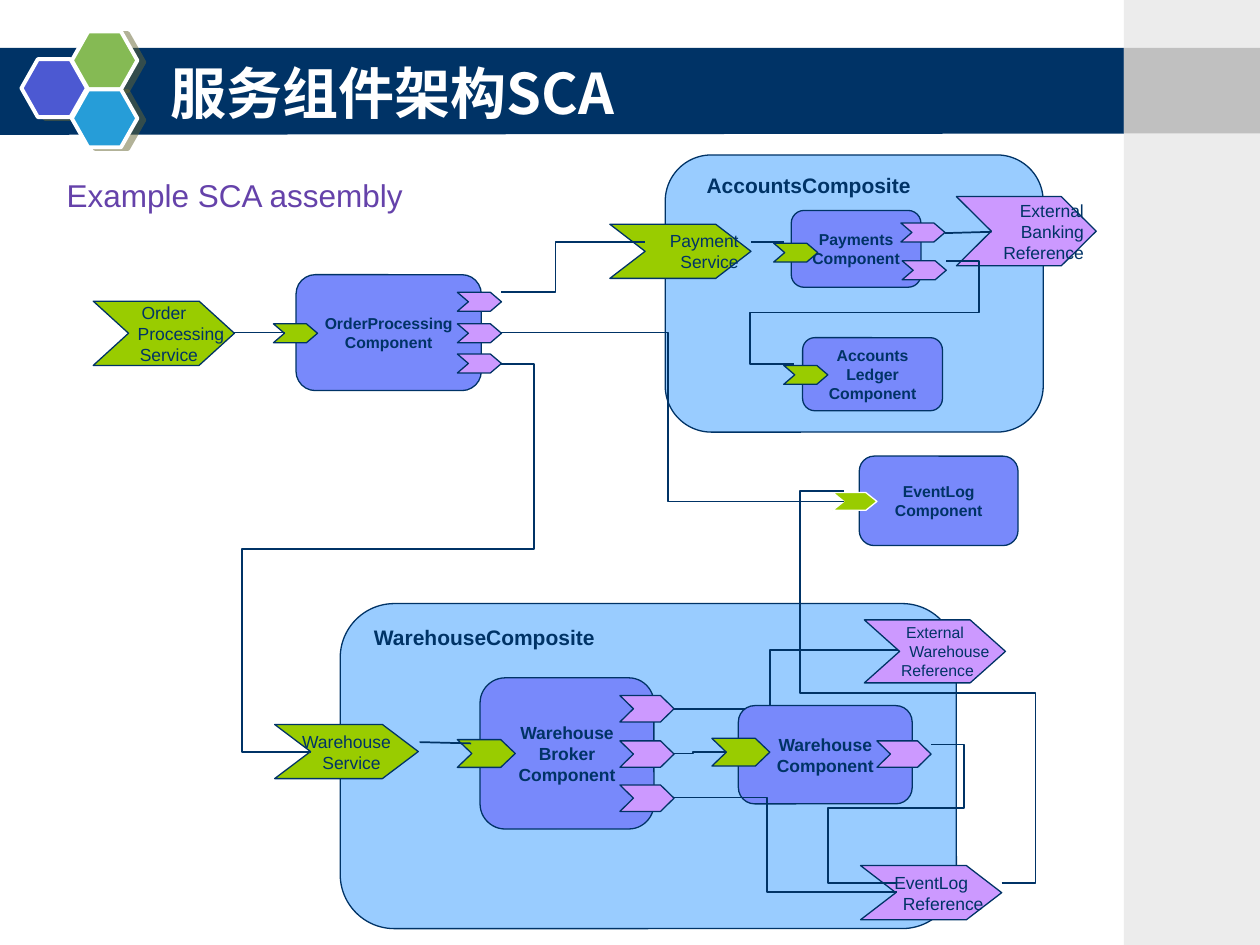
import pptx
import pptx.util
import pptx.dml.color
import pptx.enum.shapes
import pptx.enum.text
import pptx.oxml
import pptx.oxml.ns
from pptx.util import Inches

COLORS = {
    "navy": "003366", "white": "FFFFFF", "composite": "99CCFF", "component": "7889FB",
    "service": "99CC00", "reference": "CC99FF", "heading": "6542AA", "shadow": "666633",
    "panel": "ECECEC", "panel_band": "C0C0C0",
    "indigo": "4C59D2", "green": "85BA54", "blue": "269DD8",
}
SHAPES = pptx.enum.shapes.MSO_SHAPE
ALIGN = pptx.enum.text.PP_ALIGN
MIDDLE = pptx.enum.text.MSO_ANCHOR.MIDDLE
CONNECTORS = pptx.enum.shapes.MSO_CONNECTOR
NS = pptx.oxml.ns.nsdecls("a")


def rgb(name):
    return pptx.dml.color.RGBColor.from_string(COLORS[name])


def paint(shape, fill, line=None, width=0.75):
    shape.shadow.inherit = False
    shape.fill.solid()
    shape.fill.fore_color.rgb = rgb(fill)
    if line:
        shape.line.color.rgb = rgb(line)
        shape.line.width = pptx.util.Pt(width)
    else:
        shape.line.fill.background()


def write(shape, lines, size, bold=False, color="navy", align=ALIGN.CENTER, indents=(), side=0.1):
    frame = shape.text_frame
    frame.word_wrap = False
    frame.vertical_anchor = MIDDLE
    frame.margin_left = frame.margin_right = Inches(side)
    frame.margin_top = frame.margin_bottom = Inches(0.05)
    for index, line in enumerate(lines):
        paragraph = frame.add_paragraph() if index else frame.paragraphs[0]
        paragraph.alignment = align
        if index < len(indents) and indents[index]:
            properties = paragraph._p.get_or_add_pPr()
            properties.set("marL", str(Inches(indents[index])))
            properties.set("indent", "0")
        run = paragraph.add_run()
        run.text = line
        run.font.name = "Arial"
        run.font.size = pptx.util.Pt(size)
        run.font.bold = bold
        run.font.color.rgb = rgb(color)


def add_block(slide, kind, box, fill, line=None, width=0.75):
    block = slide.shapes.add_shape(kind, *map(Inches, box))
    paint(block, fill, line, width)
    return block


def add_outline(slide, points, fill, line=None):
    corners = [(Inches(x), Inches(y)) for x, y in points]
    builder = slide.shapes.build_freeform(*corners[0], scale=1.0)
    builder.add_line_segments(corners[1:], close=True)
    outline = builder.convert_to_shape()
    paint(outline, fill, line)
    return outline


def add_chevron(slide, left, top, width, height, fill, line="navy"):
    notch, right, middle, bottom = width / 4, left + width, top + height / 2, top + height
    points = [(left, top), (right - notch, top), (right, middle),
              (right - notch, bottom), (left, bottom), (left + notch, middle)]
    return add_outline(slide, points, fill, line)


def add_hexagon(slide, left, top, fill):
    hexagon = add_block(slide, SHAPES.HEXAGON, (left, top, 0.52, 0.46), fill, "white", 2.25)
    hexagon.adjustments[0] = 0.283
    effects = hexagon._element.spPr.find(pptx.oxml.ns.qn("a:effectLst"))
    effects.append(pptx.oxml.parse_xml(
        f'<a:outerShdw {NS} dist="52070" dir="840000" algn="ctr" rotWithShape="0">'
        f'<a:srgbClr val="{COLORS["shadow"]}"><a:alpha val="50000"/></a:srgbClr></a:outerShdw>'))


def add_label(slide, box, text, size, bold, color):
    label = slide.shapes.add_textbox(*map(Inches, box))
    write(label, [text], size, bold, color, ALIGN.LEFT)
    label.text_frame.vertical_anchor = pptx.enum.text.MSO_ANCHOR.TOP


def add_wire(slide, start, end, bends=()):
    kind = CONNECTORS.ELBOW if bends else CONNECTORS.STRAIGHT
    wire = slide.shapes.add_connector(kind, *map(Inches, (*start, *end)))
    wire.line.color.rgb = rgb("navy")
    wire.line.width = pptx.util.Pt(1)
    properties = wire._element.spPr
    properties.append(pptx.oxml.parse_xml(f"<a:effectLst {NS}/>"))
    if bends:
        geometry = properties.find(pptx.oxml.ns.qn("a:prstGeom"))
        geometry.set("prst", f"bentConnector{len(bends) + 2}")
        guides = geometry.get_or_add_avLst()
        for index, bend in enumerate(bends):
            axis = index % 2
            ratio = (bend - start[axis]) / (end[axis] - start[axis])
            guides.append(pptx.oxml.parse_xml(
                f'<a:gd {NS} name="adj{index + 1}" fmla="val {round(ratio * 100000)}"/>'))


def add_title(slide, text):
    title = slide.shapes.title
    title.left, title.top, title.width, title.height = map(Inches, (1.25, 0.42, 7.42, 0.62))
    title.text_frame.vertical_anchor = MIDDLE
    paragraph = title.text_frame.paragraphs[0]
    paragraph.alignment = ALIGN.LEFT
    run = paragraph.add_run()
    run.text = text
    run.font.size = pptx.util.Pt(32)
    run.font.bold = True
    run.font.color.rgb = rgb("white")
    run.font.name = "Noto Sans CJK SC"
    run.font._element.find(pptx.oxml.ns.qn("a:latin")).addnext(
        pptx.oxml.parse_xml(f'<a:ea {NS} typeface="Noto Sans CJK SC"/>'))


def add_frame(slide):
    add_outline(slide, [(-0.01, 0.38), (8.94, 0.38), (8.93, 1.06), (-0.01, 1.07)], "navy")
    for left, top, fill in [(0.17, 0.47, "indigo"), (0.57, 0.25, "green"), (0.57, 0.71, "blue")]:
        add_hexagon(slide, left, top, fill)
    add_block(slide, SHAPES.RECTANGLE, (8.92, 0, 1.08, 7.5), "panel")
    add_block(slide, SHAPES.RECTANGLE, (8.92, 0.38, 1.08, 0.68), "panel_band")


def main():
    deck = pptx.Presentation()
    deck.slide_width, deck.slide_height = Inches(10), Inches(7.5)
    slide = deck.slides.add_slide(deck.slide_layouts[5])
    add_frame(slide)
    title = slide.shapes.title._element
    title.getparent().append(title)
    add_title(slide, "服务组件架构SCA")

    for box in [(2.7, 4.79, 4.89, 2.58), (5.28, 1.23, 3, 2.2)]:
        add_block(slide, SHAPES.ROUNDED_RECTANGLE, box, "composite", "navy")
    add_wire(slide, (5.35, 5.63), (7.14, 5.16), (6.11,))

    components = [
        ((3.81, 5.38, 1.38, 1.2), ["Warehouse", "Broker", "Component"], 10),
        ((5.86, 5.6, 1.38, 0.78), ["Warehouse", "Component"], 10),
        ((6.82, 3.62, 1.26, 0.71), ["EventLog", "Component"], 9),
        ((2.35, 2.18, 1.47, 0.92), ["OrderProcessing", "Component"], 9),
        ((6.28, 1.67, 1.03, 0.61), ["Payments", "Component"], 9),
        ((6.37, 2.68, 1.11, 0.58), ["Accounts", "Ledger", "Component"], 9),
    ]
    for box, lines, size in components:
        component = add_block(slide, SHAPES.ROUNDED_RECTANGLE, box, "component", "navy")
        write(component, lines, size, bold=True)

    endpoints = [
        ((2.18, 5.75, 1.14, 0.43), "service", ["Warehouse", "Service"], 10,
         ALIGN.CENTER, (0, 0.08), 0.02),
        ((0.74, 2.39, 1.12, 0.51), "service", ["Order", "Processing", "Service"], 10,
         ALIGN.CENTER, (0, 0.27, 0.08), 0.1),
        ((4.84, 1.78, 1.12, 0.43), "service", ["Payment", "Service"], 10, ALIGN.RIGHT, (), 0.1),
        ((6.83, 6.87, 1.12, 0.43), "reference", ["EventLog", "Reference"], 10,
         ALIGN.CENTER, (0, 0.19), 0.1),
        ((6.86, 4.92, 1.12, 0.5), "reference", ["External", "Warehouse", "Reference"], 9,
         ALIGN.CENTER, (0, 0.23, 0.04), 0.1),
        ((7.59, 1.56, 1.11, 0.55), "reference", ["External", "Banking", "Reference"], 10,
         ALIGN.RIGHT, (), 0.1),
    ]
    for box, role, lines, size, align, indents, side in endpoints:
        endpoint = add_chevron(slide, *box, role)
        write(endpoint, lines, size, align=align, indents=indents, side=side)

    ports = [
        ("service", 0.46, 0.22, [(3.63, 5.87), (5.65, 5.86)]),
        ("service", 0.35, 0.15, [(2.17, 2.57), (6.14, 1.93), (6.22, 2.9)]),
        ("reference", 0.35, 0.15, [(3.63, 2.32), (3.63, 2.57), (3.63, 2.81), (7.15, 1.77), (7.16, 2.07)]),
        ("reference", 0.43, 0.21, [(4.92, 5.52), (4.92, 5.88), (4.92, 6.23), (6.96, 5.88)]),
    ]
    for role, width, height, corners in ports:
        for left, top in corners:
            add_chevron(slide, left, top, width, height, role)
    add_chevron(slide, 6.61, 3.91, 0.35, 0.14, "service", "white")

    wires = [
        ((5.35, 5.98), (5.76, 5.97), (5.5,)),
        ((5.35, 6.33), (7.12, 7.08), (6.09,)),
        ((3.33, 5.89), (3.74, 5.9)),
        ((1.86, 2.64), (2.26, 2.64)),
        ((3.98, 2.89), (2.47, 5.97), (4.24, 4.36, 1.92)),
        ((3.98, 2.64), (6.7, 3.98), (5.3,)),
        ((7.95, 7.01), (6.7, 3.9), (8.22, 5.5, 6.35)),
        ((7.39, 5.91), (7.11, 7.01), (7.65, 6.41, 6.57)),
        ((5.96, 1.92), (6.22, 1.92)),
        ((7.5, 1.85), (7.87, 1.84)),
        ((3.98, 2.32), (5.12, 1.92), (4.41,)),
        ((7.51, 2.07), (6.3, 2.89), (7.77, 2.48, 5.95)),
    ]
    for wire in wires:
        add_wire(slide, *wire)

    add_label(slide, (2.87, 4.91, 1.96, 0.3), "WarehouseComposite", 12, True, "navy")
    add_label(slide, (5.51, 1.32, 1.82, 0.3), "AccountsComposite", 12, True, "navy")
    add_label(slide, (0.43, 1.35, 2.88, 0.4), "Example SCA assembly", 18, False, "heading")
    deck.save("out.pptx")


if __name__ == "__main__":
    main()
